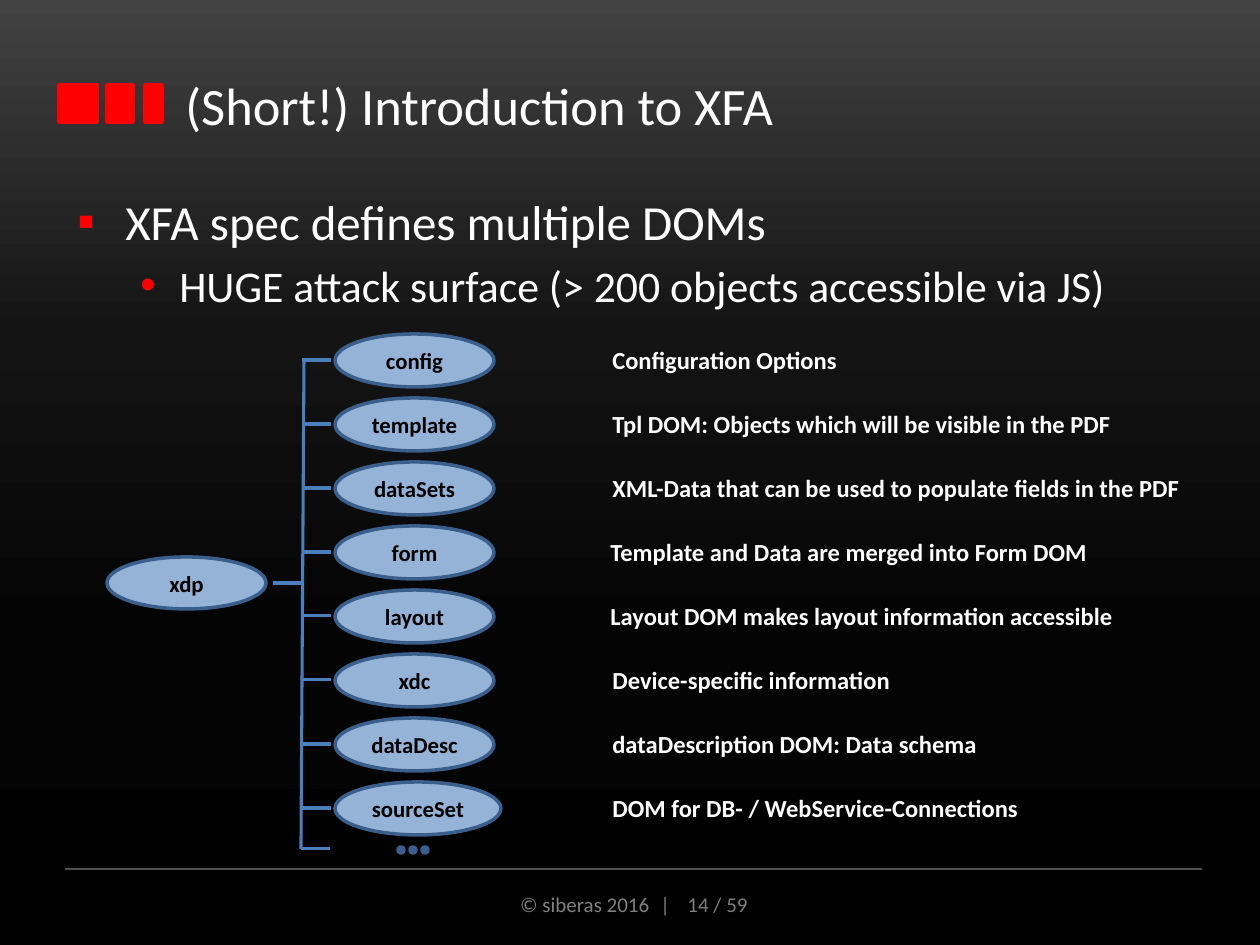
from lxml import etree
from pptx import Presentation
from pptx.dml.color import RGBColor
from pptx.enum.shapes import MSO_CONNECTOR, MSO_SHAPE
from pptx.enum.text import MSO_ANCHOR, PP_ALIGN
from pptx.oxml.ns import qn
from pptx.util import Pt

RECT, OVAL = MSO_SHAPE.RECTANGLE, MSO_SHAPE.OVAL
STRAIGHT = MSO_CONNECTOR.STRAIGHT
MIDDLE, CENTER = MSO_ANCHOR.MIDDLE, PP_ALIGN.CENTER
PX = 914400 / 126
FONT = "Calibri"
COLORS = {
    "red": "FF0000", "white": "FFFFFF", "black": "000000", "gray": "808080",
    "rule": "505050", "node": "95B3D7", "edge": "3A5F8C", "branch": "4B7EBC",
    "dot": "376092",
}
BACKGROUND = [(0, "424242"), (35, "141414"), (67, "040404"), (100, "000000")]


def rgb(name):
    return RGBColor.from_string(COLORS[name])


def emu(*lengths):
    return [round(n * PX) for n in lengths]


prs = Presentation()
prs.slide_width, prs.slide_height = emu(1260, 945)
s = prs.slides.add_slide(prs.slide_layouts[6])

# Background: four gradient stops from top to bottom
fill = s.background.fill
fill.gradient()
fill.gradient_angle = 270
stops = s.background._cSld.find(".//" + qn("a:gsLst"))
for stop in list(stops):
    stops.remove(stop)
for pos, color in BACKGROUND:
    stop = etree.SubElement(stops, qn("a:gs"), pos=str(pos * 1000))
    etree.SubElement(stop, qn("a:srgbClr"), val=color)

# Shapes: kind, left, top, width, height, fill, outline, text
NODES = ["config", "template", "dataSets", "form",
         "layout", "xdc", "dataDesc", "sourceSet"]
FIRST_Y, PITCH = 360, 64
shapes = [(RECT, x, 85, w, 37, "red", "red", "")
          for x, w in [(59, 38), (107, 26), (145, 17)]]
shapes.append((OVAL, 107, 557, 159, 52, "node", "edge", "xdp"))
for i, name in enumerate(NODES):
    width = 166 if name == "sourceSet" else 159
    shapes.append((OVAL, 335, FIRST_Y - 26 + i * PITCH, width, 53,
                   "node", "edge", name))
shapes += [(OVAL, 398 + 12 * i, 847, 6, 6, "dot", "edge", "") for i in range(3)]

for kind, x, y, w, h, color, outline, text in shapes:
    sp = s.shapes.add_shape(kind, *emu(x, y, w, h))
    sp.shadow.inherit = False
    sp.fill.solid()
    sp.fill.fore_color.rgb = rgb(color)
    sp.line.color.rgb = rgb(outline)
    sp.line.width = Pt(2)
    if text:
        tf = sp.text_frame
        tf.text = text
        tf.word_wrap = False
        tf.vertical_anchor = MIDDLE
        p = tf.paragraphs[0]
        p.alignment = CENTER
        font = p.runs[0].font
        font.name, font.size, font.bold = FONT, Pt(13), True
        font.color.rgb = rgb("black")

# Lines: start x, start y, end x, end y, colour, width
lines = [
    (65, 869, 1202, 869, "rule", 0.75),
    (304, 360, 301, 849, "branch", 1.75),
    (273, 583, 302, 583, "branch", 1.75),
    (301, 849, 330, 849, "branch", 1.75),
]
lines += [(302, FIRST_Y + i * PITCH, 331, FIRST_Y + i * PITCH, "branch", 1.75)
          for i in range(len(NODES))]
for x1, y1, x2, y2, color, width in lines:
    line = s.shapes.add_connector(STRAIGHT, *emu(x1, y1, x2, y2))
    line.line.color.rgb = rgb(color)
    line.line.width = Pt(width)
    etree.SubElement(line._element.spPr, qn("a:effectLst"))

# Text boxes: left, top, width, height, size, bold, colour, text
DESCRIPTIONS = [
    "Configuration Options",
    "Tpl DOM: Objects which will be visible in the PDF",
    "XML-Data that can be used to populate fields in the PDF",
    "Template and Data are merged into Form DOM",
    "Layout DOM makes layout information accessible",
    "Device-specific information",
    "dataDescription DOM: Data schema",
    "DOM for DB- / WebService-Connections",
]
texts = [(173, 49, 1019, 110, 30, False, "white", "(Short!) Introduction to XFA")]
for i, text in enumerate(DESCRIPTIONS):
    x = 598 if i in (3, 4) else 600
    texts.append((x, FIRST_Y - 22 + i * PITCH, 604, 43, 14, True, "white", text))
for x, y, w, h, size, bold, color, text in texts:
    tf = s.shapes.add_textbox(*emu(x, y, w, h)).text_frame
    tf.text = text
    tf.word_wrap = True
    tf.vertical_anchor = MIDDLE
    font = tf.paragraphs[0].runs[0].font
    font.name, font.size, font.bold = FONT, Pt(size), bold
    font.color.rgb = rgb(color)

# Bulleted body: text, size, bullet, left margin, hanging indent, space before
bullets = [
    ("XFA spec defines multiple DOMs", 28, "▪", 48, 48, 0),
    ("HUGE attack surface (> 200 objects accessible via JS)", 25, "•", 102, 39, 5),
]
tf = s.shapes.add_textbox(*emu(65, 185, 1137, 164)).text_frame
tf.word_wrap = True
for i, (text, size, bullet, margin, hang, before) in enumerate(bullets):
    p = tf.add_paragraph() if i else tf.paragraphs[0]
    p.text = text
    p.level = i
    p.space_before = Pt(before)
    pPr = p._p.get_or_add_pPr()
    left, indent = emu(margin, -hang)
    pPr.set("marL", str(left))
    pPr.set("indent", str(indent))
    bu_color = etree.SubElement(pPr, qn("a:buClr"))
    etree.SubElement(bu_color, qn("a:srgbClr"), val=COLORS["red"])
    etree.SubElement(pPr, qn("a:buFont"), typeface="Arial")
    etree.SubElement(pPr, qn("a:buChar"), char=bullet)
    font = p.runs[0].font
    font.name, font.size = FONT, Pt(size)
    font.color.rgb = rgb("white")

# Footer, with wider letter spacing around the divider
tf = s.shapes.add_textbox(*emu(425, 885, 418, 38)).text_frame
tf.word_wrap = True
p = tf.paragraphs[0]
p.alignment = CENTER
for text in ["© siberas 2016", " | ", "14 / 59"]:
    r = p.add_run()
    r.text = text
    r.font.name, r.font.size = FONT, Pt(12)
    r.font.color.rgb = rgb("gray")
p.runs[1]._r.get_or_add_rPr().set("spc", "360")

prs.save("out.pptx")
